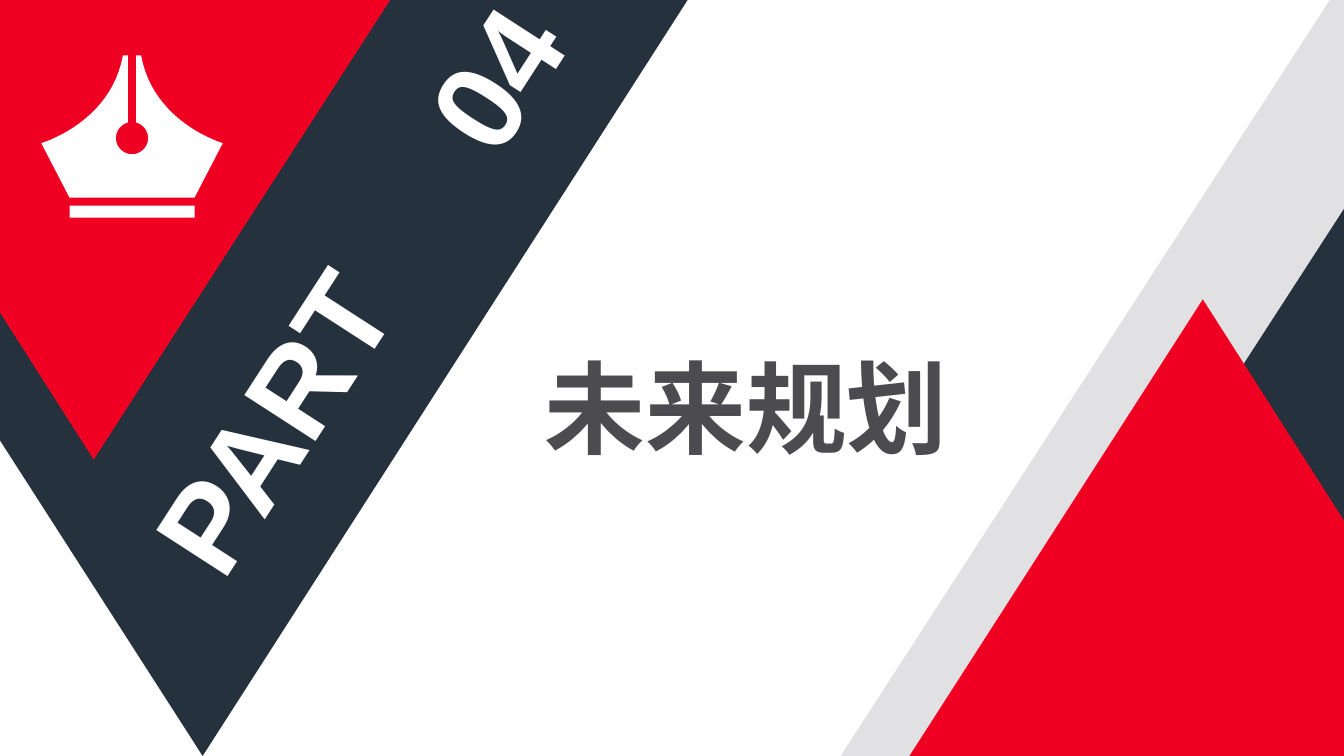
from dataclasses import dataclass
from math import cos, pi, sin

from lxml import etree
from pptx import Presentation
from pptx.dml.color import RGBColor
from pptx.enum.shapes import MSO_SHAPE
from pptx.enum.text import MSO_ANCHOR, MSO_AUTO_SIZE, PP_ALIGN
from pptx.oxml.ns import qn
from pptx.util import Inches, Pt

RECT = MSO_SHAPE.RECTANGLE
TOP = MSO_ANCHOR.TOP
GROW = MSO_AUTO_SIZE.SHAPE_TO_FIT_TEXT
LEFT = PP_ALIGN.LEFT


@dataclass(frozen=True)
class Theme:
    """Colours, font and type sizes of the deck."""
    red: str = "EF0023"
    navy: str = "25313D"
    grey: str = "E1E1E3"
    white: str = "FFFFFF"
    ink: str = "4C4B50"
    font: str = "Arial"
    part_size: int = 88
    title_size: int = 72


THEME = Theme()


def paint(sp, color):
    """Give a shape a flat fill without line or shadow."""
    sp.shadow.inherit = False
    sp.fill.solid()
    sp.fill.fore_color.rgb = RGBColor.from_string(color)
    sp.line.fill.background()


def add_polygon(shapes, x, y, points, color):
    """Draw a closed outline from points measured from (x, y)."""
    pts = [(Inches(x + px), Inches(y + py)) for px, py in points]
    builder = shapes.build_freeform(*pts[0])
    builder.add_line_segments(pts[1:], close=True)
    paint(builder.convert_to_shape(), color)


def add_rect(shapes, x, y, w, h, color, rotation=0):
    """Draw a plain rectangle."""
    sp = shapes.add_shape(RECT, Inches(x), Inches(y), Inches(w), Inches(h))
    sp.rotation = rotation
    paint(sp, color)


def write_line(sp, parts, size, color):
    """Write one bold line of runs into a shape and return its paragraph."""
    tf = sp.text_frame
    tf.word_wrap = False
    tf.auto_size = GROW
    tf.vertical_anchor = TOP
    p = tf.paragraphs[0]
    p.alignment = LEFT
    for text in parts:
        r = p.add_run()
        r.text = text
        r.font.name = THEME.font
        r.font.size = Pt(size)
        r.font.bold = True
        r.font.color.rgb = RGBColor.from_string(color)
    return p


def bezier(start, c1, c2, end, steps=24):
    """Sample a cubic curve."""
    def at(t):
        weights = ((1 - t) ** 3, 3 * t * (1 - t) ** 2, 3 * t * t * (1 - t), t ** 3)
        return tuple(sum(k * q[i] for k, q in zip(weights, (start, c1, c2, end)))
                     for i in (0, 1))
    return [at(n / steps) for n in range(steps + 1)]


def add_left_corner(shapes, x, y, w, h):
    """Draw the navy wedge with the red wedge on it."""
    add_polygon(shapes, x, y, [(2.01, h), (w, 0), (0, 0), (0, 4.37)], THEME.navy)
    add_polygon(shapes, x, y, [(0, 3.1), (0.93, 4.56), (3.87, 0), (0, 0)], THEME.red)


def add_pen_nib(shapes, x, y, w, h):
    """Draw the pen nib, mirrored about its slit, with the bar below."""
    group = shapes.add_group_shape().shapes
    axis, eye_y, eye_r, slit, steps = w / 2, 0.82, 0.16, 0.04, 24
    sweep = 0.92 * pi
    eye = [(axis - eye_r * sin(sweep * n / steps), eye_y + eye_r * cos(sweep * n / steps))
           for n in range(steps + 1)]
    shoulder = (0, 0.87)
    edge = bezier((axis - 0.09, 0), (0.69, 0.67), shoulder, shoulder)
    half = eye + [(axis - slit, 0)] + edge + [(0.28, h)]
    mirrored = [(w - px, py) for px, py in reversed(half)]
    add_polygon(group, x, y, half + mirrored, THEME.white)
    add_rect(group, x + 0.28, y + h + 0.08, w - 0.56, 0.12, THEME.white)


def add_part_label(shapes, x, y, w, h):
    """Write the part number along the navy wedge."""
    sp = shapes.add_textbox(Inches(x), Inches(y), Inches(w), Inches(h))
    sp.rotation = 302.9
    p = write_line(sp, ["PART", "\t", "04"], THEME.part_size, THEME.white)
    tabs = etree.SubElement(p._p.get_or_add_pPr(), qn("a:tabLst"))
    etree.SubElement(tabs, qn("a:tab"), pos=str(Inches(5)), algn="l")


def add_right_corner(shapes, x, y, w, h):
    """Draw the grey band, the navy wedge and the red peak."""
    group = shapes.add_group_shape().shapes
    add_rect(group, x + 1.84, y - 1.61, 1.25, 10.79, THEME.grey, 32.9)
    add_polygon(group, x, y, [(0.8, h), (w, h), (w, 0), (5.65, 0)], THEME.navy)
    add_polygon(group, x, y, [(w, h), (2.91, 2.97), (0, h)], THEME.red)


def add_title(s, x, y, w, h):
    """Place the section title."""
    sp = s.shapes.title
    sp.left, sp.top, sp.width, sp.height = map(Inches, (x, y, w, h))
    write_line(sp, ["未来规划"], THEME.title_size, THEME.ink)


def add_section_slide(prs):
    """Build the section divider."""
    s = prs.slides.add_slide(prs.slide_layouts[5])
    add_left_corner(s.shapes, 0, 0, 6.82, 7.5)
    add_pen_nib(s.shapes, 0.41, 0.55, 1.8, 1.41)
    add_part_label(s.shapes, 0.26, 2.07, 6.56, 1.58)
    add_right_corner(s.shapes, 9.02, 0, 5.8, 7.5)
    add_title(s, 5.3, 3.38, 4.26, 1.31)


def main():
    """Create and save the deck."""
    prs = Presentation()
    prs.slide_width, prs.slide_height = Inches(13.33), Inches(7.5)
    add_section_slide(prs)
    prs.save("out.pptx")


if __name__ == "__main__":
    main()
